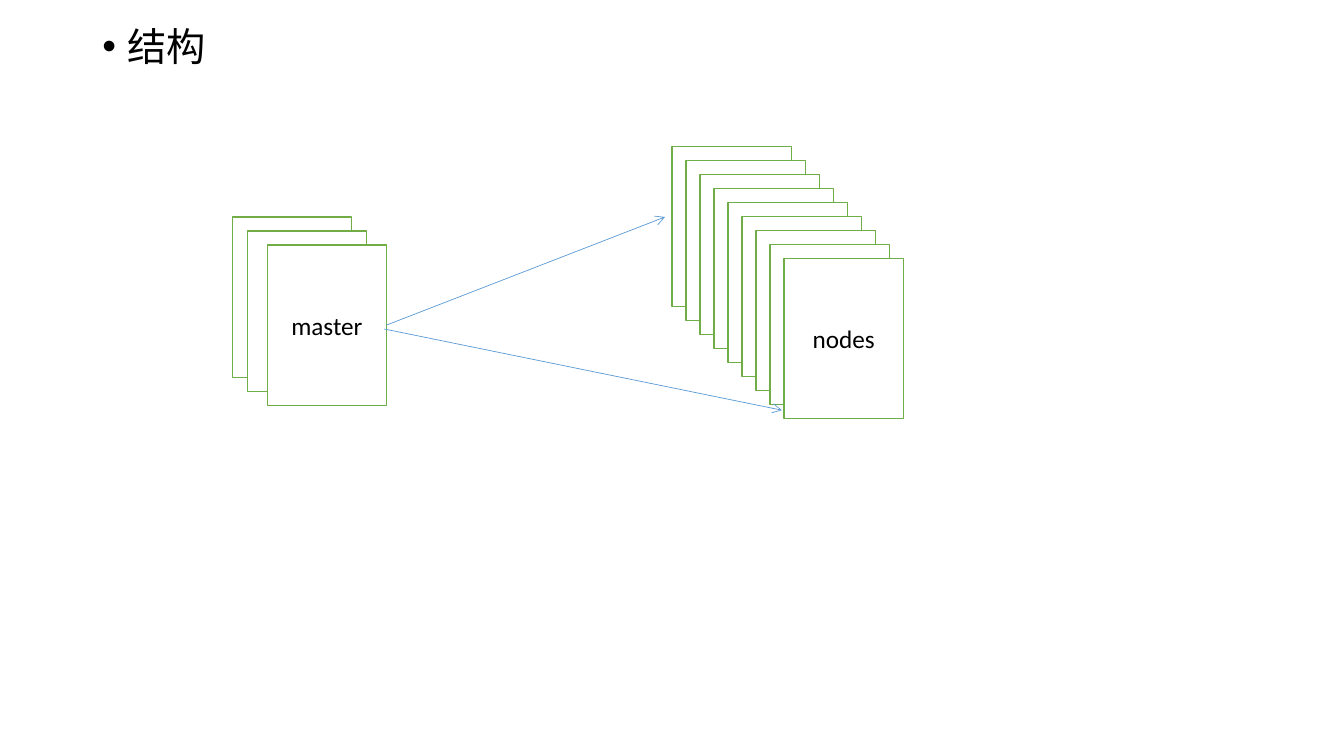
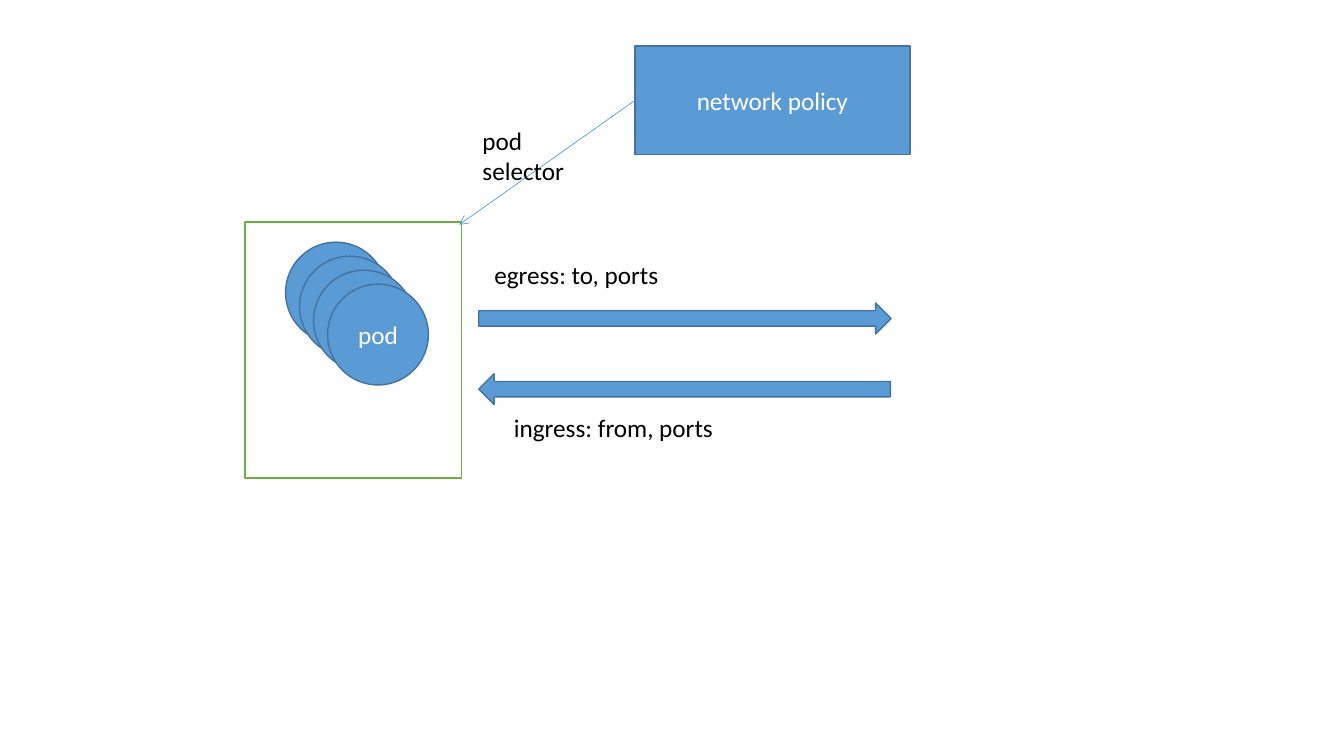
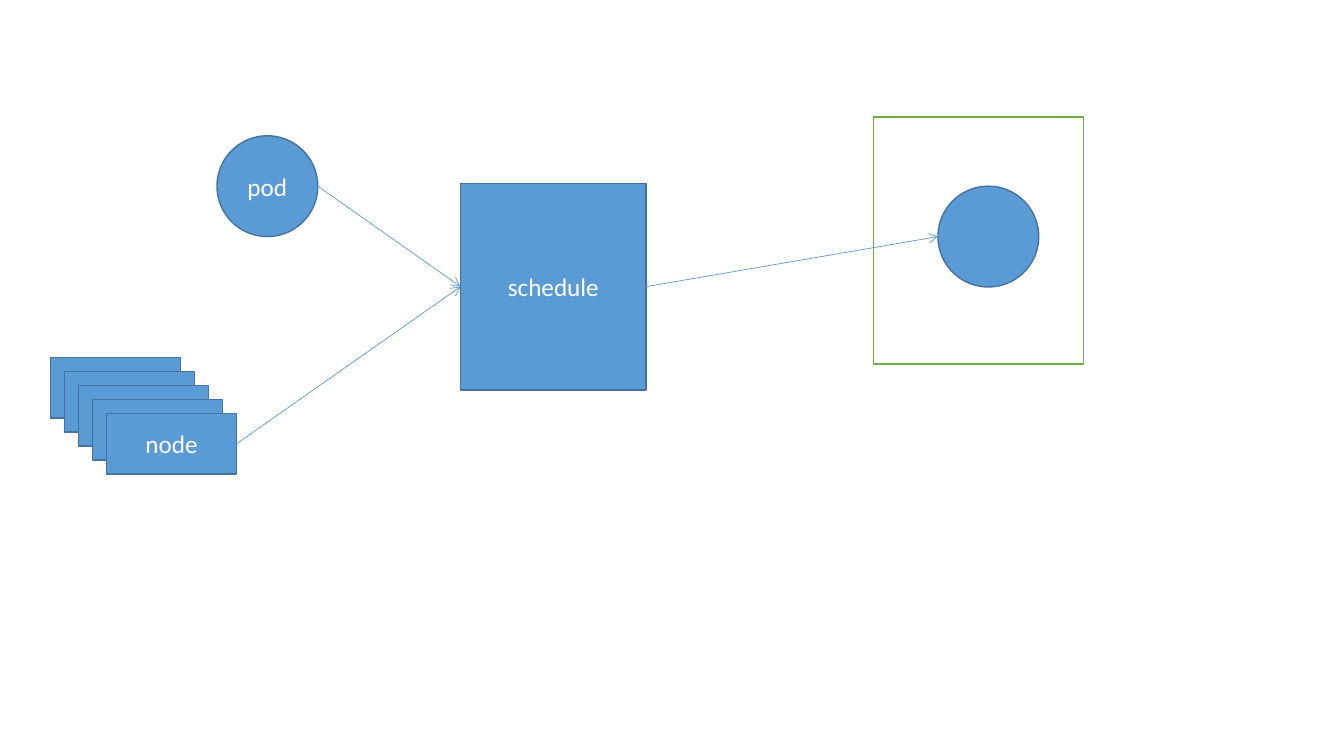
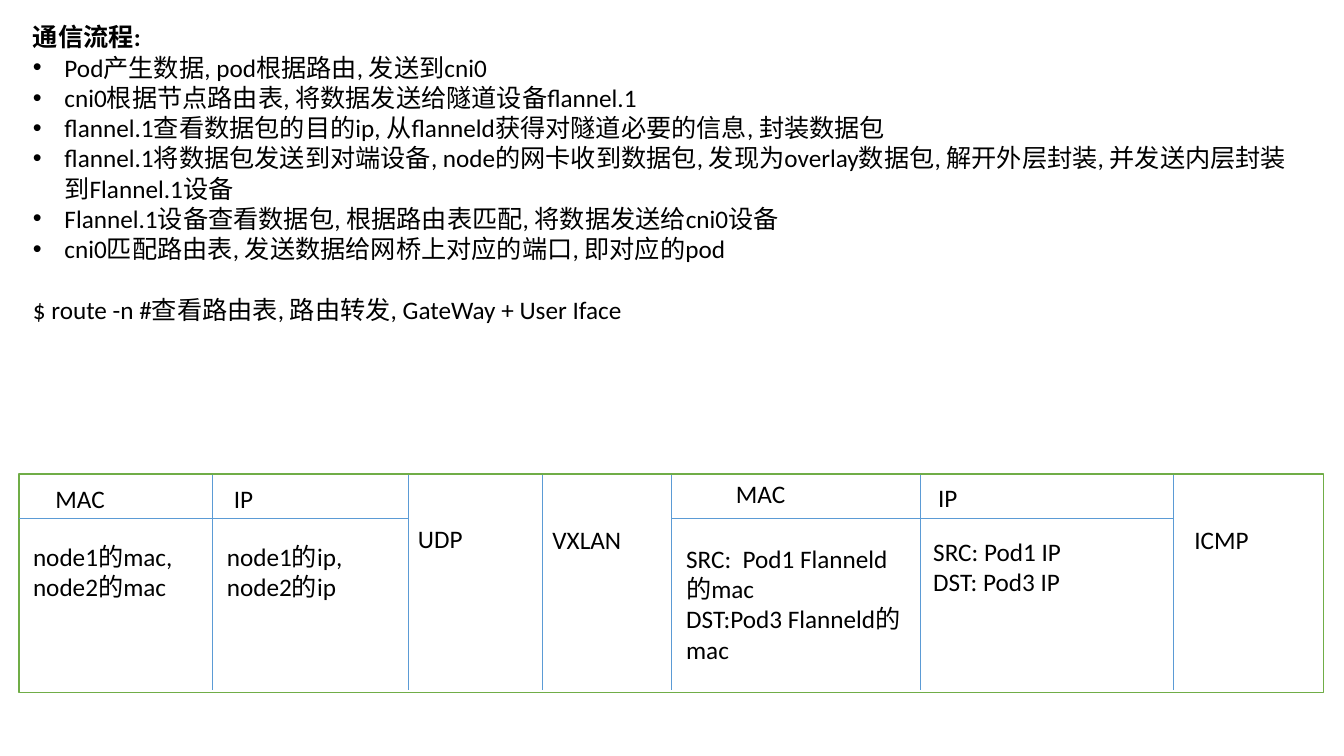
from lxml import etree
from pptx import Presentation
from pptx.dml.color import RGBColor
from pptx.enum import shapes, text
from pptx.oxml import ns
from pptx.shapes.autoshape import Shape
from pptx.util import Pt

BLACK = RGBColor(0x00, 0x00, 0x00)
WHITE = RGBColor(0xFF, 0xFF, 0xFF)
BLUE = RGBColor(0x5B, 0x9B, 0xD5)
DARK_BLUE = RGBColor(0x43, 0x73, 0x9E)
GREEN = RGBColor(0x70, 0xAD, 0x47)
OUTLINED = (WHITE, GREEN, BLACK)
SOLID = (BLUE, DARK_BLUE, WHITE)
RECT = shapes.MSO_SHAPE.RECTANGLE
OVAL = shapes.MSO_SHAPE.OVAL
RIGHT_ARROW = shapes.MSO_SHAPE.RIGHT_ARROW
LEFT_ARROW = shapes.MSO_SHAPE.LEFT_ARROW
LEFT_SIDE, RIGHT_SIDE = 1, 3


class Deck:
    """Holds the diagram style and draws elements on the current slide."""

    font = "Calibri"
    size = 18
    step = 10

    def __init__(self):
        self.prs = Presentation()
        self.prs.slide_width, self.prs.slide_height = Pt(960), Pt(540)
        self.slide = None

    def new_slide(self, title=None):
        layout = self.prs.slide_layouts[5 if title else 6]
        self.slide = self.prs.slides.add_slide(layout)
        if title:
            heading = self.slide.shapes.title
            heading.left, heading.top = Pt(66), Pt(16)
            heading.width, heading.height = Pt(828), Pt(44)
            frame = heading.text_frame
            frame.text = title
            frame.vertical_anchor = text.MSO_ANCHOR.TOP
            paragraph = frame.paragraphs[0]
            paragraph.alignment = text.PP_ALIGN.LEFT
            paragraph.line_spacing = 0.9
            self.bullet(paragraph, 18)
            self.format(paragraph, BLACK, 28)

    def bullet(self, paragraph, indent):
        props = paragraph._p.get_or_add_pPr()
        props.set("marL", str(Pt(indent)))
        props.set("indent", str(-Pt(indent)))
        etree.SubElement(props, ns.qn("a:buFont")).set("typeface", "Arial")
        etree.SubElement(props, ns.qn("a:buChar")).set("char", "•")

    def format(self, paragraph, color, size=None, bold=False):
        for run in paragraph.runs:
            run.font.name = self.font
            run.font.size = Pt(size or self.size)
            run.font.bold = bold
            run.font.color.rgb = color

    def shape(self, kind, left, top, width, height, style, label=""):
        fill, outline, ink = style
        item = self.slide.shapes.add_shape(
            kind, Pt(left), Pt(top), Pt(width), Pt(height))
        item.shadow.inherit = False
        item.fill.solid()
        item.fill.fore_color.rgb = fill
        item.line.color.rgb = outline
        item.line.width = Pt(1)
        if label:
            frame = item.text_frame
            frame.text = label
            frame.vertical_anchor = text.MSO_ANCHOR.MIDDLE
            frame.paragraphs[0].alignment = text.PP_ALIGN.CENTER
            self.format(frame.paragraphs[0], ink)
        return item

    def stack(self, kind, lefts, top, width, height, style, label):
        for i, left in enumerate(lefts):
            front = self.shape(kind, left, top + i * self.step, width, height,
                               style, label if i == len(lefts) - 1 else "")
        return front

    def text(self, left, top, width, height, content):
        box = self.slide.shapes.add_textbox(
            Pt(left), Pt(top), Pt(width), Pt(height))
        frame = box.text_frame
        frame.word_wrap = True
        frame.text = content
        for paragraph in frame.paragraphs:
            self.format(paragraph, BLACK)
        return frame.paragraphs

    def line(self, start, end, arrow=False):
        joins = [isinstance(point[0], Shape) for point in (start, end)]
        ends = [(0, 0) if joined else point
                for joined, point in zip(joins, (start, end))]
        link = self.slide.shapes.add_connector(
            shapes.MSO_CONNECTOR.STRAIGHT, *[Pt(v) for xy in ends for v in xy])
        if joins[0]:
            link.begin_connect(*start)
        if joins[1]:
            link.end_connect(*end)
        link.line.color.rgb = BLUE
        link.line.width = Pt(0.5)
        props = link._element.spPr
        if arrow:
            tail = etree.SubElement(props.find(ns.qn("a:ln")), ns.qn("a:tailEnd"))
            tail.set("type", "arrow")
        etree.SubElement(props, ns.qn("a:effectLst"))


def structure(deck):
    deck.new_slide("结构")
    master = deck.stack(RECT, (166, 177, 191), 155, 85, 114.5, OUTLINED, "master")
    deck.stack(RECT, range(480, 561, deck.step), 104.5, 85.5, 114.5, OUTLINED, "nodes")
    deck.line((master, RIGHT_SIDE), (475, 155), arrow=True)
    deck.line((274.5, 235), (558.5, 293), arrow=True)


def network_policy(deck):
    deck.new_slide()
    deck.shape(RECT, 175, 158.5, 154.5, 183, OUTLINED)
    deck.shape(RIGHT_ARROW, 342, 216.5, 294.5, 22, SOLID)
    deck.shape(LEFT_ARROW, 342, 267, 294, 22, SOLID)
    deck.text(346, 182, 268, 29, "egress: to, ports")
    deck.text(360, 291, 256, 29, "ingress: from, ports")
    policy = deck.shape(RECT, 453.5, 33, 196.5, 77.5, SOLID, "network policy")
    deck.stack(OVAL, range(204, 235, deck.step), 173, 72, 72, SOLID, "pod")
    deck.line((policy, LEFT_SIDE), (328, 160.5), arrow=True)
    deck.text(337.5, 86, 104, 51, "pod selector")


def scheduling(deck):
    deck.new_slide()
    deck.shape(OVAL, 155, 97, 72, 72, SOLID, "pod")
    schedule = deck.shape(RECT, 329, 131, 132.5, 147.5, SOLID, "schedule")
    node = deck.stack(RECT, range(36, 77, deck.step), 255.5, 93, 43, SOLID, "node")
    deck.line((227, 133), (schedule, LEFT_SIDE), arrow=True)
    deck.line((node, RIGHT_SIDE), (schedule, LEFT_SIDE), arrow=True)
    deck.shape(RECT, 624, 83.5, 150, 176.5, OUTLINED)
    deck.shape(OVAL, 670, 133, 72, 72, SOLID)
    deck.line((schedule, RIGHT_SIDE), (670, 169), arrow=True)


def communication(deck):
    deck.new_slide()
    heading, *steps, command = deck.text(16.5, 12, 925, 225, "\n".join((
        "通信流程:",
        "Pod产生数据, pod根据路由, 发送到cni0",
        "cni0根据节点路由表, 将数据发送给隧道设备flannel.1",
        "flannel.1查看数据包的目的ip, 从flanneld获得对隧道必要的信息, 封装数据包",
        "flannel.1将数据包发送到对端设备, node的网卡收到数据包, 发现为overlay数据包, "
        "解开外层封装, 并发送内层封装到Flannel.1设备",
        "Flannel.1设备查看数据包, 根据路由表匹配, 将数据发送给cni0设备",
        "cni0匹配路由表, 发送数据给网桥上对应的端口, 即对应的pod",
        "$ route -n #查看路由表, 路由转发, GateWay + User Iface")))
    deck.format(heading, BLACK, bold=True)
    for step in steps:
        deck.bullet(step, 22.5)
    command.space_before = Pt(21.6)

    left, top, width, height = 13.5, 338.5, 932, 156
    deck.shape(RECT, left, top, width, height, OUTLINED)
    dividers = (151.5, 291.5, 387.5, 479.5, 657.5, 838)
    for x in dividers:
        deck.line((x, top + 0.5), (x, top + height - 1.5))
    header_bottom = 370.5
    for start, end in ((left, dividers[1]), (dividers[3], dividers[5])):
        deck.line((start, header_bottom), (end, header_bottom))

    for x, y, w, h, field in (
            (32.5, 341.5, 87, 29, "MAC"),
            (160, 341.5, 105, 29, "IP"),
            (518.5, 338, 87, 29, "MAC"),
            (663, 341, 105, 29, "IP"),
            (291.5, 370.5, 93, 29, "UDP"),
            (387.5, 371, 84, 29, "VXLAN"),
            (846, 371, 85, 29, "ICMP"),
            (16.5, 383, 129, 51, "node1的mac, node2的mac"),
            (155, 383, 129, 51, "node1的ip, node2的ip"),
            (483, 384.5, 171, 94, "SRC:  Pod1 Flanneld的mac\nDST:Pod3 Flanneld的mac"),
            (659.5, 379.5, 178.5, 51, "SRC: Pod1 IP\nDST: Pod3 IP")):
        deck.text(x, y, w, h, field)


def main():
    deck = Deck()
    for build in (structure, network_policy, scheduling, communication):
        build(deck)
    deck.prs.save("out.pptx")


if __name__ == "__main__":
    main()
